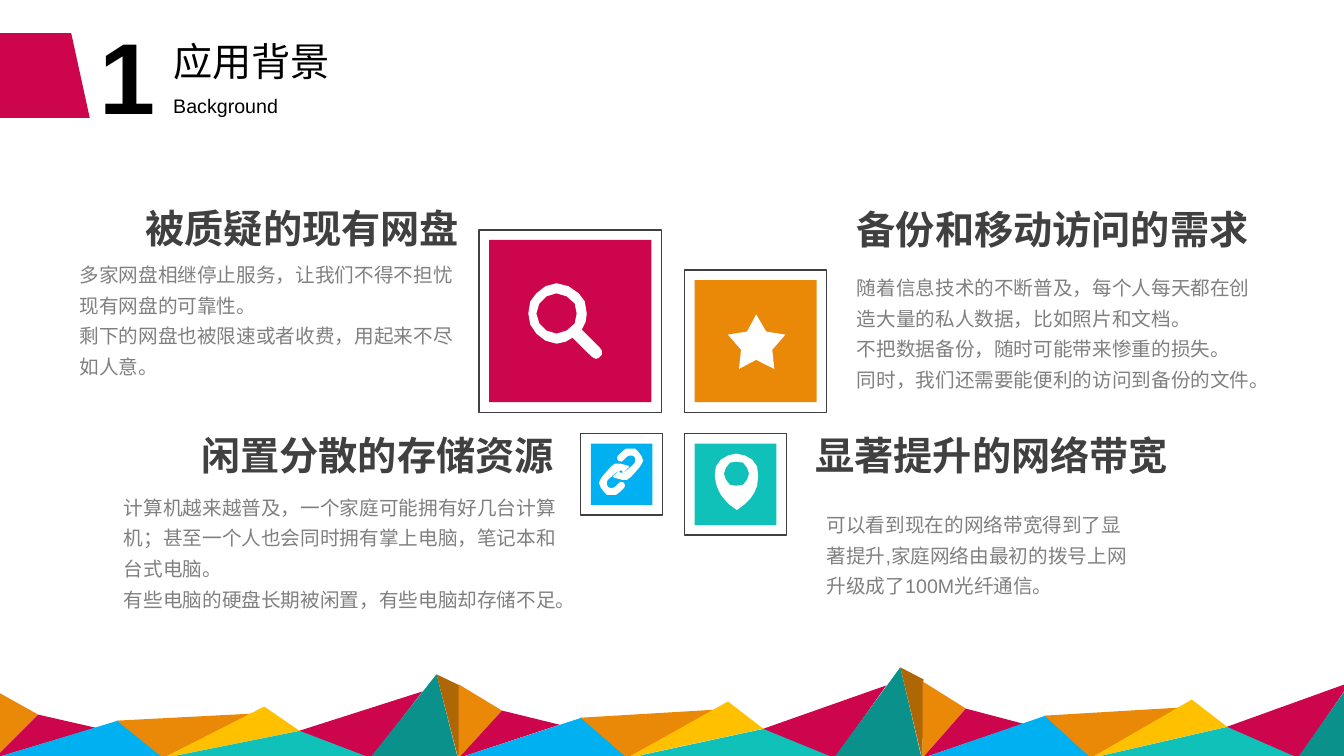
import math
from dataclasses import dataclass

import pptx
import pptx.util
import pptx.dml.color
import pptx.enum.shapes
import pptx.enum.text

Inches = pptx.util.Inches
Shapes = pptx.enum.shapes.MSO_SHAPE
Align = pptx.enum.text.PP_ALIGN


@dataclass(frozen=True)
class Theme:
    """Colours, font and type sizes of the slide."""
    red: str = "CD054C"
    orange: str = "EA8908"
    yellow: str = "FFC000"
    blue: str = "00B0F0"
    teal: str = "0FC1B9"
    dark_teal: str = "0B918B"
    brown: str = "AF6706"
    white: str = "FFFFFF"
    black: str = "000000"
    dark: str = "404040"
    grey: str = "808080"
    font: str = "Arial"
    number: int = 72
    heading: int = 28
    body: int = 14


THEME = Theme()

RANGE_BASE = 7.52
RANGE_WIDTH = 4.6
RANGE_SCALES = (1, 1.09, 1.13)
FACETS = [
    (THEME.orange, [(0, 0), (0, 0.67), (0.43, 0.43)]),
    (THEME.red, [(0, 0), (0.43, 0.43), (1, 0.3)]),
    (THEME.blue, [(0, 0), (1.22, 0.37), (1.68, 0)]),
    (THEME.orange, [(1.21, 0.37), (2.55, 0.44), (1.67, 0)]),
    (THEME.yellow, [(1.67, 0), (2.67, 0.51), (3.02, 0.27)]),
    (THEME.teal, [(1.68, 0), (3.03, 0.27), (3.75, 0)]),
    (THEME.red, [(3.02, 0.27), (4.24, 0.66), (3.73, 0)]),
    (THEME.dark_teal, [(3.72, 0), (4.38, 0.83), (4.59, 0)]),
    (THEME.brown, [(4.38, 0.83), (4.61, 0.72), (4.6, -0.02)]),
]


def circle(x, y, radius):
    """Return the corners of a twelve-sided ring outline."""
    angles = [math.radians(30 * step) for step in range(12)]
    return [(x + radius * math.sin(a), y - radius * math.cos(a)) for a in angles]


MAGNIFIER = [
    [(28, 0), (40, 3), (50, 10), (56, 18), (58, 30), (57, 38), (53, 46), (71, 64),
     (73, 67), (73, 71), (70, 74), (67, 75), (63, 73), (45, 55), (44, 54), (37, 58),
     (28, 60), (17, 57), (8, 50), (2, 41), (0, 30), (2, 18), (8, 10), (17, 3)],
    circle(28.5, 30, 20),
]
STAR = [[(28, 0), (38, 17), (57, 20), (44, 35), (46, 54), (28, 45), (11, 54),
         (13, 35), (0, 20), (19, 17)]]
PIN = [
    [(21, 0), (30, 2), (37, 6), (42, 13), (43, 22), (42, 32), (39, 39), (35, 45),
     (30, 50), (26, 53), (22, 56), (19, 54), (15, 51), (11, 47), (6, 41), (3, 35),
     (1, 29), (0, 22), (1, 13), (6, 6), (13, 2)],
    circle(21.5, 20, 12.5),
]
LOWER_LINK = [
    (21, 15), (25, 16), (29, 17), (30, 18), (24, 24), (23, 22), (21, 22), (18, 23),
    (9, 31), (8, 33), (8, 36), (9, 38), (11, 39), (14, 39), (16, 38), (20, 34),
    (22, 33), (25, 34), (26, 37), (25, 39), (21, 43), (17, 46), (8, 46), (5, 43),
    (2, 39), (0, 34), (2, 30), (4, 27), (12, 18), (16, 15)]
CHAIN = [LOWER_LINK, [(44 - x, 46 - y) for x, y in LOWER_LINK]]

TILES = [
    ((4.75, 2.28, 1.81), THEME.red, MAGNIFIER, (0.49, 0.53)),
    ((6.79, 2.68, 1.41), THEME.orange, STAR, (0.43, 0.44)),
    ((6.79, 4.3, 1.01), THEME.teal, PIN, (0.3, 0.2)),
    ((5.76, 4.3, 0.81), THEME.blue, CHAIN, (0.18, 0.15)),
]

TOPICS = [
    ((1.31, 1.98, 3.34, 0.57), Align.RIGHT, "被质疑的现有网盘", (0.69, 2.49, 3.98, 1.3),
     ["多家网盘相继停止服务，让我们不得不担忧现有网盘的可靠性。",
      "剩下的网盘也被限速或者收费，用起来不尽如人意。"]),
    ((1.88, 4.23, 3.71, 0.57), Align.RIGHT, "闲置分散的存储资源", (1.13, 4.8, 4.52, 1.3),
     ["计算机越来越普及，一个家庭可能拥有好几台计算机；甚至一个人也会同时拥有掌上电脑，笔记本和台式电脑。",
      "有些电脑的硬盘长期被闲置，有些电脑却存储不足。"]),
    ((8.4, 1.99, 4.13, 0.57), Align.LEFT, "备份和移动访问的需求", (8.4, 2.62, 4.13, 1.3),
     ["随着信息技术的不断普及，每个人每天都在创造大量的私人数据，比如照片和文档。",
      "不把数据备份，随时可能带来惨重的损失。",
      "同时，我们还需要能便利的访问到备份的文件。"]),
    ((7.99, 4.23, 3.74, 0.57), Align.LEFT, "显著提升的网络带宽", (8.1, 4.97, 3.31, 0.99),
     ["可以看到现在的网络带宽得到了显著提升,家庭网络由最初的拨号上网升级成了100M光纤通信。"]),
]


def paint(shape, fill=None, line=None):
    """Set the fill and outline of a shape and drop its shadow."""
    shape.shadow.inherit = False
    for part, color in ((shape.fill, fill), (shape.line.fill, line)):
        if color:
            part.solid()
            part.fore_color.rgb = pptx.dml.color.RGBColor.from_string(color)
        else:
            part.background()
    if line:
        shape.line.width = pptx.util.Pt(1)


def add_preset(page, kind, box, fill=None, line=None):
    """Add a preset shape in the given box."""
    shape = page.shapes.add_shape(kind, *map(Inches, box))
    paint(shape, fill, line)
    return shape


def add_outline(page, left, top, contours, fill):
    """Add a freeform whose points are hundredths of an inch from left and top."""
    placed = [[(100 * left + x, 100 * top + y) for x, y in points] for points in contours]
    builder = page.shapes.build_freeform(*placed[0][0], scale=Inches(0.01))
    for index, points in enumerate(placed):
        if index:
            builder.move_to(*points[0])
        builder.add_line_segments(points[1:], close=True)
    paint(builder.convert_to_shape(), fill)


def add_text(page, box, lines, size, color, bold=False, align=Align.LEFT, spacing=1.0):
    """Add a text box with one paragraph per line."""
    frame = page.shapes.add_textbox(*map(Inches, box)).text_frame
    frame.word_wrap = True
    frame.auto_size = pptx.enum.text.MSO_AUTO_SIZE.SHAPE_TO_FIT_TEXT
    for index, line in enumerate(lines):
        para = frame.add_paragraph() if index else frame.paragraphs[0]
        para.text = line
        para.alignment = align
        para.line_spacing = spacing
        para.font.name = THEME.font
        para.font.size = pptx.util.Pt(size)
        para.font.bold = bold
        para.font.color.rgb = pptx.dml.color.RGBColor.from_string(color)


def add_mountains(page, left, base):
    """Add the repeating range of coloured facets along the bottom edge."""
    for index, scale in enumerate(RANGE_SCALES):
        start = left + index * RANGE_WIDTH
        for color, points in FACETS:
            if start + points[0][0] < 13.33:
                contour = [(100 * x, -100 * scale * y) for x, y in points]
                add_outline(page, start, base, [contour], color)


def add_header(page, left, top):
    """Add the section tab, number and title."""
    tab = add_preset(page, Shapes.FLOWCHART_MANUAL_INPUT,
                     (left + 0.01, top + 0.2, 0.84, 0.92), THEME.red)
    tab.rotation = 90
    add_text(page, (left + 0.89, top, 1.46, 1.31), ["1"], THEME.number, THEME.black, bold=True)
    add_text(page, (left + 1.62, top + 0.23, 1.79, 0.57), ["应用背景"], THEME.heading, THEME.black)
    add_text(page, (left + 1.62, top + 0.79, 3.13, 0.34), ["Background"], THEME.body, THEME.black)


def add_tile(page, box, color, icon, offset):
    """Add a framed square with an icon."""
    left, top, side = box
    inset = 0.1
    inner = side - 2 * inset
    add_preset(page, Shapes.RECTANGLE, (left + inset, top + inset, inner, inner), color)
    add_preset(page, Shapes.RECTANGLE, (left, top, side, side), line=THEME.dark)
    add_outline(page, left + offset[0], top + offset[1], icon, THEME.white)


def add_topic(page, heading_box, align, heading, body_box, lines):
    """Add a heading and its body text."""
    add_text(page, heading_box, [heading], THEME.heading, THEME.dark, bold=True, align=align)
    add_text(page, body_box, lines, THEME.body, THEME.grey, spacing=1.3)


def main():
    """Build and save the slide."""
    deck = pptx.Presentation()
    deck.slide_width, deck.slide_height = Inches(13.33), Inches(7.5)
    page = deck.slides.add_slide(deck.slide_layouts[6])
    add_mountains(page, -0.05, RANGE_BASE)
    add_header(page, 0, 0.09)
    for tile in TILES:
        add_tile(page, *tile)
    for topic in TOPICS:
        add_topic(page, *topic)
    deck.save("out.pptx")


if __name__ == "__main__":
    main()
